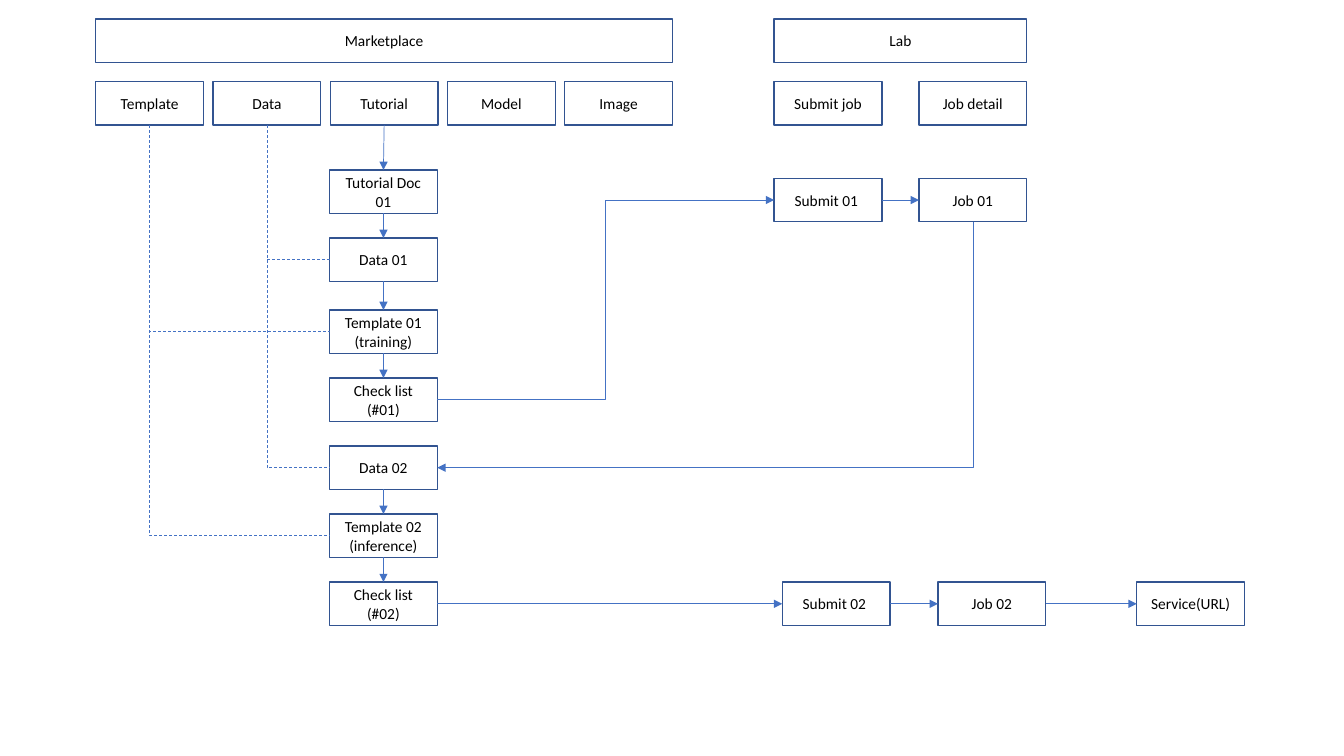
import pptx
import pptx.dml.color
import pptx.enum.dml
import pptx.enum.shapes
import pptx.enum.text
import pptx.oxml.ns
import pptx.util
import lxml.etree
from dataclasses import dataclass

Pt = pptx.util.Pt
CONNECTOR = pptx.enum.shapes.MSO_CONNECTOR
TOP, LEFT, BOTTOM, RIGHT = range(4)  # connection sites of a rectangle


@dataclass(frozen=True)
class Theme:
    fill: str = "FFFFFF"
    border: str = "325491"
    arrow: str = "4472C4"
    text: str = "000000"
    font: str = "Calibri"
    text_size: float = 11
    border_width: float = 1
    arrow_width: float = 0.5
    box_width: float = 77
    box_height: float = 31


THEME = Theme()


def color(value):
    return pptx.dml.color.RGBColor.from_string(value)


def write_text(shape, text, size=THEME.text_size, text_color=THEME.text):
    """Write centred text, one paragraph per line."""
    frame = shape.text_frame
    frame.word_wrap = True
    frame.vertical_anchor = pptx.enum.text.MSO_ANCHOR.MIDDLE
    frame.text = text
    for paragraph in frame.paragraphs:
        paragraph.alignment = pptx.enum.text.PP_ALIGN.CENTER
        font = paragraph.runs[0].font
        font.name, font.size = THEME.font, Pt(size)
        font.color.rgb = color(text_color)


def add_box(slide, text, left, top, width=THEME.box_width):
    shape = slide.shapes.add_shape(
        pptx.enum.shapes.MSO_SHAPE.RECTANGLE,
        Pt(left), Pt(top), Pt(width), Pt(THEME.box_height))
    shape.shadow.inherit = False
    shape.fill.solid()
    shape.fill.fore_color.rgb = color(THEME.fill)
    shape.line.color.rgb = color(THEME.border)
    shape.line.width = Pt(THEME.border_width)
    write_text(shape, text)
    return shape


def connect(slide, start, start_site, end, end_site,
            kind=CONNECTOR.STRAIGHT, arrow=True, dashed=False):
    connector = slide.shapes.add_connector(kind, 0, 0, 0, 0)
    connector.begin_connect(start, start_site)
    connector.end_connect(end, end_site)
    connector.line.color.rgb = color(THEME.arrow)
    connector.line.width = Pt(THEME.arrow_width)
    if dashed:
        connector.line.dash_style = pptx.enum.dml.MSO_LINE.DASH
    properties = connector._element.spPr
    if arrow:
        line = properties.find(pptx.oxml.ns.qn("a:ln"))
        lxml.etree.SubElement(line, pptx.oxml.ns.qn("a:tailEnd"), type="triangle")
    lxml.etree.SubElement(properties, pptx.oxml.ns.qn("a:effectLst"))
    return connector


def connect_corner(slide, start, end, end_site, **line_format):
    """Go down from the start box, then sideways into the end box."""
    connector = connect(slide, start, BOTTOM, end, end_site,
                        kind=CONNECTOR.ELBOW, **line_format)
    rightward = connector.end_x > connector.begin_x
    left, top = connector.left, connector.top
    width, height = connector.width, connector.height
    properties = connector._element.spPr
    properties.find(pptx.oxml.ns.qn("a:prstGeom")).set("prst", "bentConnector2")
    # The one-corner preset starts sideways, so it is turned a quarter
    transform = properties.find(pptx.oxml.ns.qn("a:xfrm"))
    transform.set("rot", str((270 if rightward else 90) * 60000))
    transform.set("flipH", "1" if rightward else "0")
    transform.set("flipV", "0")
    connector.left = left + (width - height) // 2
    connector.top = top + (height - width) // 2
    connector.width, connector.height = height, width


def add_header(slide, title, names, left, top, width):
    """A title bar above evenly spread boxes; returns the boxes by name."""
    add_box(slide, title, left, top, width)
    step = (width - THEME.box_width) / (len(names) - 1)
    return {name: add_box(slide, name, left + index * step, top + 44.8)
            for index, name in enumerate(names)}


def add_tutorial_steps(slide, left, top, step):
    """The tutorial column, with arrows inside each of its two runs."""
    names = ["Tutorial Doc 01", "Data 01", "Template 01\n(training)",
             "Check list (#01)", "Data 02", "Template 02\n(inference)",
             "Check list (#02)"]
    extra_gap = 2.8  # the training steps sit slightly lower
    boxes = [add_box(slide, name, left,
                     top + index * step + (extra_gap if index > 1 else 0))
             for index, name in enumerate(names)]
    for run in (boxes[:4], boxes[4:]):
        for start, end in zip(run, run[1:]):
            connect(slide, start, BOTTOM, end, TOP)
    return boxes


def add_job_row(slide, names, lefts, top):
    """A row of job boxes joined from left to right."""
    boxes = [add_box(slide, name, left, top) for name, left in zip(names, lefts)]
    for start, end in zip(boxes, boxes[1:]):
        connect(slide, start, RIGHT, end, LEFT)
    return boxes


def build_flow(slide):
    # Headers
    market = add_header(
        slide, "Marketplace", ["Template", "Data", "Tutorial", "Model", "Image"],
        left=68.4, top=13.6, width=412)
    add_header(slide, "Lab", ["Submit job", "Job detail"],
               left=553, top=13.6, width=180.4)

    # Tutorial steps and job rows
    steps = add_tutorial_steps(slide, left=235.4, top=121.4, step=48.6)
    document, data_1, template_1, check_1, data_2, template_2, check_2 = steps
    submit_1, job_1 = add_job_row(
        slide, ["Submit 01 ", "Job 01"], [553, 656.4], top=127.4)
    submit_2 = add_job_row(
        slide, ["Submit 02 ", "Job 02", "Service(URL)"],
        [558.8, 670, 812], top=415.8)[0]

    # Arrows between the regions
    connect(slide, market["Tutorial"], BOTTOM, document, TOP)
    connect(slide, check_1, RIGHT, submit_1, LEFT, kind=CONNECTOR.ELBOW)
    connect_corner(slide, job_1, data_2, RIGHT)
    connect(slide, check_2, RIGHT, submit_2, LEFT)

    # Dashed links from the marketplace to the steps that use its items
    for name, users in (("Data", (data_1, data_2)),
                        ("Template", (template_1, template_2))):
        for user in users:
            connect_corner(slide, market[name], user, LEFT,
                           arrow=False, dashed=True)


presentation = pptx.Presentation()
presentation.slide_width, presentation.slide_height = Pt(960), Pt(540)
build_flow(presentation.slides.add_slide(presentation.slide_layouts[6]))
presentation.save("out.pptx")
